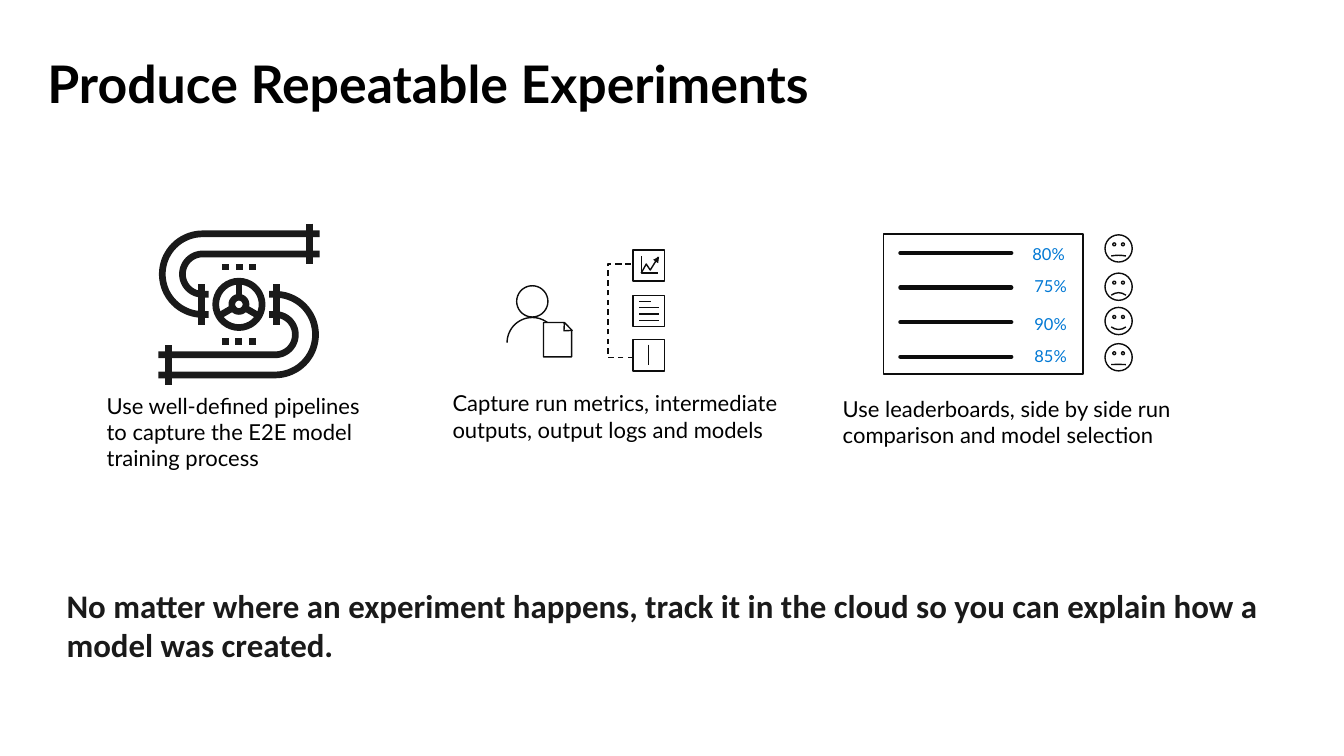
import math
from dataclasses import dataclass

import pptx
import pptx.dml.color
import pptx.enum.dml
import pptx.enum.shapes
import pptx.enum.text
import pptx.oxml
import pptx.oxml.ns
import pptx.util

Inches = pptx.util.Inches
Pt = pptx.util.Pt
Shape = pptx.enum.shapes.MSO_SHAPE


@dataclass(frozen=True)
class Theme:
    black: str = "000000"
    ink: str = "0D0D0D"
    dark: str = "1A1A1A"
    blue: str = "0078D4"
    white: str = "FFFFFF"
    font: str = "Lato"
    closing_font: str = "Calibri"
    title_size: float = 37
    closing_size: float = 23.5
    caption_size: float = 15.7
    score_size: float = 11.8
    thin: float = 1
    bar: float = 3
    pipe: float = 4.8


THEME = Theme()


def color(value):
    return pptx.dml.color.RGBColor.from_string(value)


def write(shape, text, size, value, font=THEME.font, bold=False, insets=(0, 0, 0, 0)):
    frame = shape.text_frame
    frame.word_wrap = True
    frame.auto_size = pptx.enum.text.MSO_AUTO_SIZE.NONE
    frame.vertical_anchor = pptx.enum.text.MSO_ANCHOR.TOP
    frame.margin_left, frame.margin_top, frame.margin_right, frame.margin_bottom = map(Inches, insets)
    paragraph = frame.paragraphs[0]
    paragraph.alignment = pptx.enum.text.PP_ALIGN.LEFT
    run = paragraph.add_run()
    run.text = text
    run.font.name = font
    run.font.size = Pt(size)
    run.font.bold = bold
    run.font.color.rgb = color(value)
    return paragraph


def add_text(parent, box, *args, **options):
    return write(parent.add_textbox(*map(Inches, box)), *args, **options)


def add_caption(slide, box, text):
    add_text(slide.shapes, box, text, THEME.caption_size, THEME.black, insets=(0.1, 0.05, 0.1, 0.05))


def style(shape, fill=None, line=THEME.ink, width=THEME.thin):
    shape.shadow.inherit = False
    if fill:
        shape.fill.solid()
        shape.fill.fore_color.rgb = color(fill)
    else:
        shape.fill.background()
    if line:
        shape.line.color.rgb = color(line)
        shape.line.width = Pt(width)
    else:
        shape.line.fill.background()
    return shape


def add_shape(parent, kind, box, adjustment=None, rotation=0, **look):
    shape = style(parent.add_shape(kind, *map(Inches, box)), **look)
    shape.rotation = rotation
    if adjustment is not None:
        shape.adjustments[0] = adjustment
    return shape


def add_line(parent, start, end, width=THEME.thin, cap="flat"):
    connector = parent.add_connector(
        pptx.enum.shapes.MSO_CONNECTOR.STRAIGHT, *map(Inches, (*start, *end)))
    connector.line.color.rgb = color(THEME.ink)
    connector.line.width = Pt(width)
    connector.line._get_or_add_ln().set("cap", cap)
    effects = pptx.oxml.parse_xml("<a:effectLst %s/>" % pptx.oxml.ns.nsdecls("a"))
    connector._element.spPr.append(effects)


def add_outline(parent, left, top, contours, **look):
    placed = [[(Inches(left + x), Inches(top + y)) for x, y in contour] for contour in contours]
    builder = parent.build_freeform(*placed[0][0], scale=1.0)
    for index, contour in enumerate(placed):
        if index:
            builder.move_to(*contour[0])
        builder.add_line_segments(contour[1:], close=contour[0] == contour[-1])
    return style(builder.convert_to_shape(), **look)


def arc(x, y, radius, start, end, steps=36):
    angles = [math.radians(start + (end - start) * step / steps) for step in range(steps + 1)]
    return [(x + radius * math.cos(angle), y + radius * math.sin(angle)) for angle in angles]


def pipeline_panel(slide, left, top):
    half = [[(0.8, -0.3 - radius), *arc(-0.36, -0.3, radius, 270, 90), (-0.3, -0.3 + radius)]
            for radius in (0.4, 0.2)]
    half += [[(0.7, -0.8), (0.7, -0.4)], [(-0.37, -0.2), (-0.37, 0.2)]]
    half += [[(x - 0.03, -0.37), (x + 0.04, -0.37)] for x in (-0.14, 0, 0.13)]
    turned = [[(-x, -y) for x, y in contour] for contour in half]
    wheel = [arc(0, 0, radius, 0, 360) for radius in (0.23, 0.07)]
    spokes = [[arc(0, 0, radius, angle, angle, 1)[0] for radius in (0.08, 0.22)]
              for angle in (30, 150, 270)]
    add_outline(slide.shapes, left + 1.41, top + 0.86, half + turned + wheel + spokes,
                line=THEME.dark, width=THEME.pipe)
    add_caption(slide, (left, top + 1.68, 2.76, 0.89),
                "Use well-defined pipelines to capture the E2E model training process")


def metrics_panel(slide, left, top):
    icon = slide.shapes.add_group_shape().shapes
    add_outline(icon, left + 0.64, top + 0.36,
                [arc(0.25, 0.15, 0.155, 0, 360), arc(0.25, 0.56, 0.25, 360, 180)])
    add_shape(icon, Shape.SNIP_1_RECTANGLE, (left + 1, top + 0.72, 0.28, 0.34), 0.287, fill=THEME.white)
    add_shape(icon, Shape.ISOSCELES_TRIANGLE, (left + 1.17, top + 0.75, 0.11, 0.06), 0.5, 225,
              fill=THEME.white)
    tile = left + 1.89
    for offset in (0, 0.45, 0.89):
        add_shape(icon, Shape.RECTANGLE, (tile, top + offset, 0.31, 0.31))
    add_outline(icon, tile + 0.08, top + 0.06, [[(0, 0), (0, 0.17), (0.17, 0.17)]])
    add_outline(icon, tile + 0.08, top + 0.07, [[(0, 0.16), (0.05, 0.07), (0.09, 0.13), (0.17, 0)]])
    add_shape(icon, Shape.ISOSCELES_TRIANGLE, (tile + 0.21, top + 0.06, 0.06, 0.06), 0.5, 34.9,
              fill=THEME.ink, line=None)
    for row, length in enumerate((0.12, 0.2, 0.2, 0.2)):
        y = top + 0.51 + row * 0.063
        add_line(icon, (tile + 0.06, y), (tile + 0.06 + length, y))
    add_line(icon, (tile + 0.15, top + 0.94), (tile + 0.15, top + 1.14))
    bracket = add_shape(icon, Shape.LEFT_BRACKET, (left + 1.64, top + 0.14, 0.25, 0.93), 0)
    bracket.line.dash_style = pptx.enum.dml.MSO_LINE.DASH
    add_caption(slide, (left, top + 1.34, 3.9, 0.63),
                "Capture run metrics, intermediate outputs, output logs and models")


def leaderboard_panel(slide, left, top):
    board = slide.shapes.add_group_shape().shapes
    add_shape(board, Shape.RECTANGLE, (left + 0.5, top, 1.98, 1.39))
    rows = (("80%", 1.98, 0.12, 0.01, -0.013), ("75%", 2, 0.44, 0.39, -0.047),
            ("90%", 2, 0.82, 0.73, 0.047), ("85%", 2, 1.14, 1.09, -0.003))
    for row, (score, score_left, score_top, face_top, smile) in enumerate(rows):
        y = top + 0.19 + row * 0.343
        add_line(board, (left + 0.67, y), (left + 1.77, y), THEME.bar, "rnd")
        paragraph = add_text(board, (left + score_left, top + score_top, 0.64, 0.18),
                             score, THEME.score_size, THEME.blue)
        paragraph.line_spacing = 0.9
        add_shape(board, Shape.SMILEY_FACE, (left + 2.7, top + face_top, 0.27, 0.27), smile)
    add_caption(slide, (left, top + 1.55, 4.61, 0.63),
                "Use leaderboards, side by side run comparison and model selection")


def title_region(slide, box):
    title = slide.shapes.title
    title.left, title.top, title.width, title.height = map(Inches, box)
    write(title, "Produce Repeatable Experiments", THEME.title_size, THEME.black,
          bold=True, insets=(0, 0.18, 0, 0))


def closing_region(slide, box):
    add_text(slide.shapes, box,
             "No matter where an experiment happens, track it in the cloud so you can explain "
             "how a model was created.",
             THEME.closing_size, THEME.dark, font=THEME.closing_font, bold=True)


def main():
    presentation = pptx.Presentation()
    presentation.slide_width = Inches(13.33)
    presentation.slide_height = Inches(7.5)
    slide = presentation.slides.add_slide(presentation.slide_layouts[5])
    title_region(slide, (0.47, 0.33, 12.4, 0.83))
    pipeline_panel(slide, 0.96, 2.16)
    metrics_panel(slide, 4.39, 2.48)
    leaderboard_panel(slide, 8.26, 2.32)
    closing_region(slide, (0.66, 5.81, 12.21, 0.67))
    presentation.save("out.pptx")


if __name__ == "__main__":
    main()
